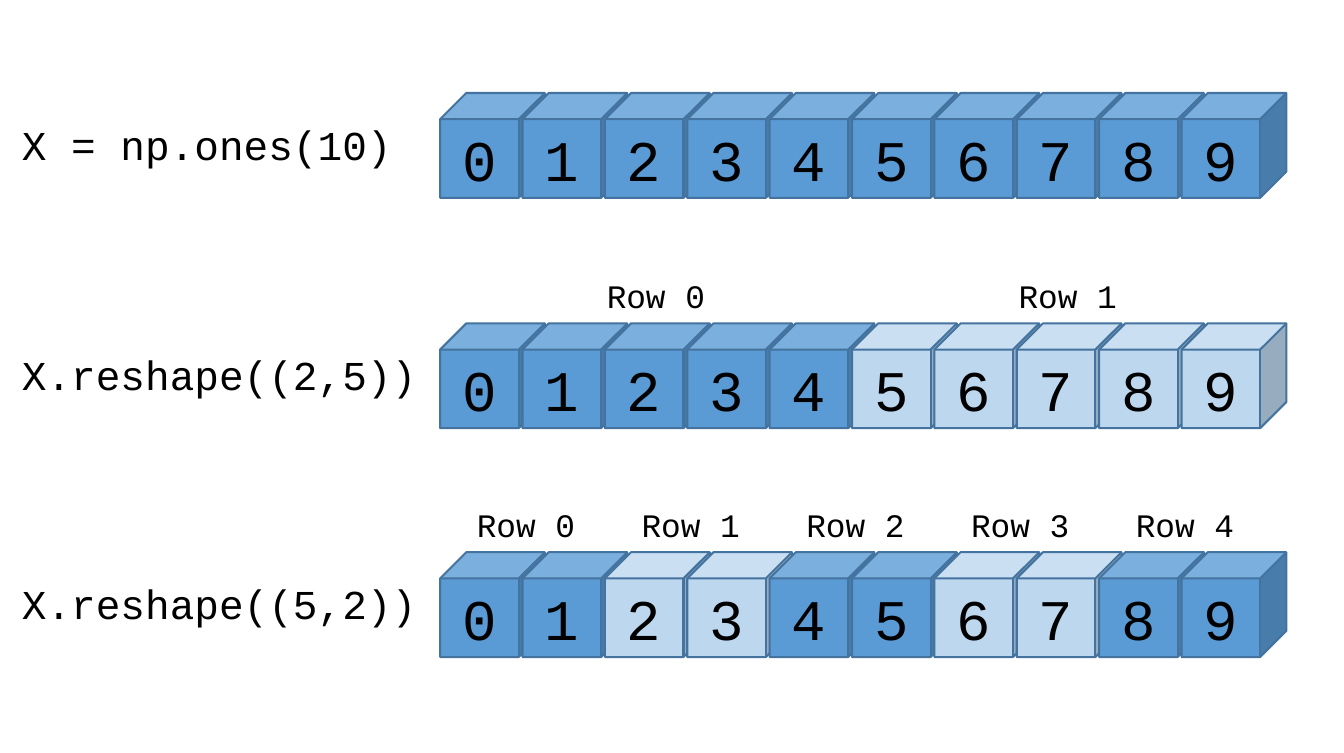
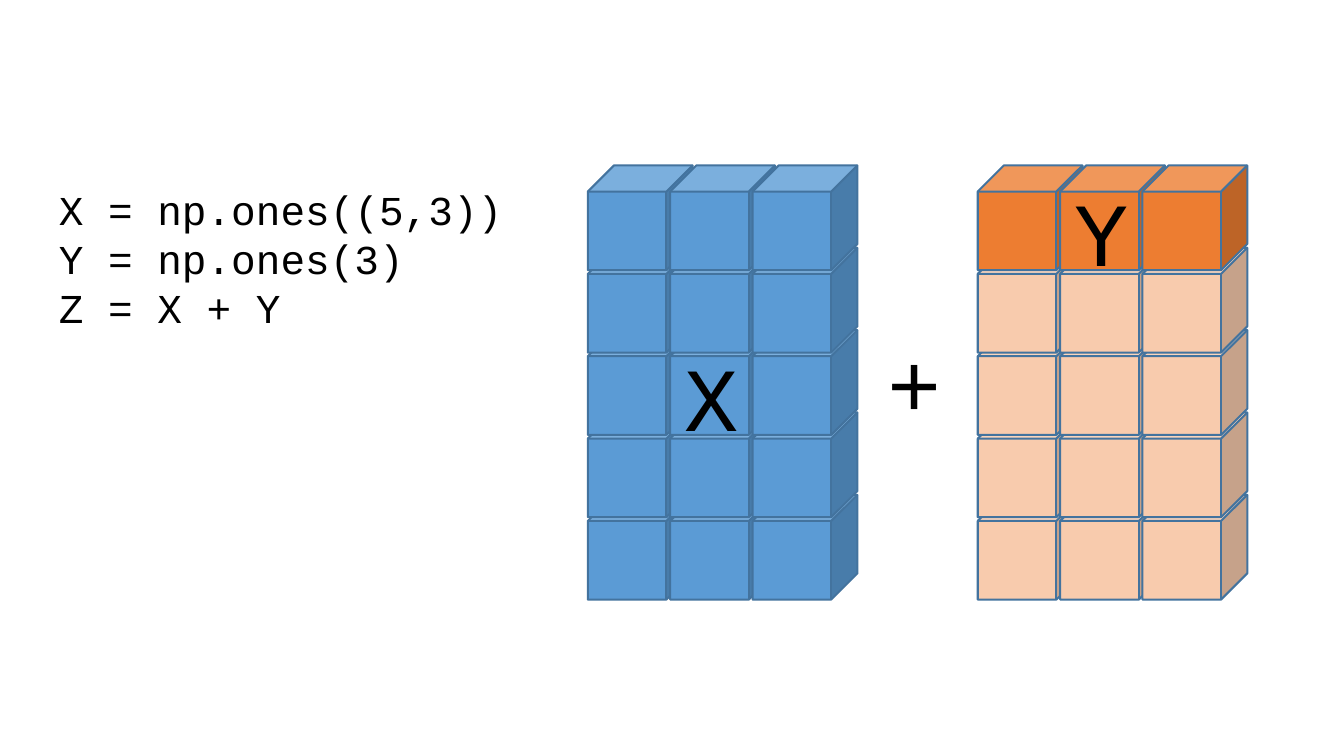
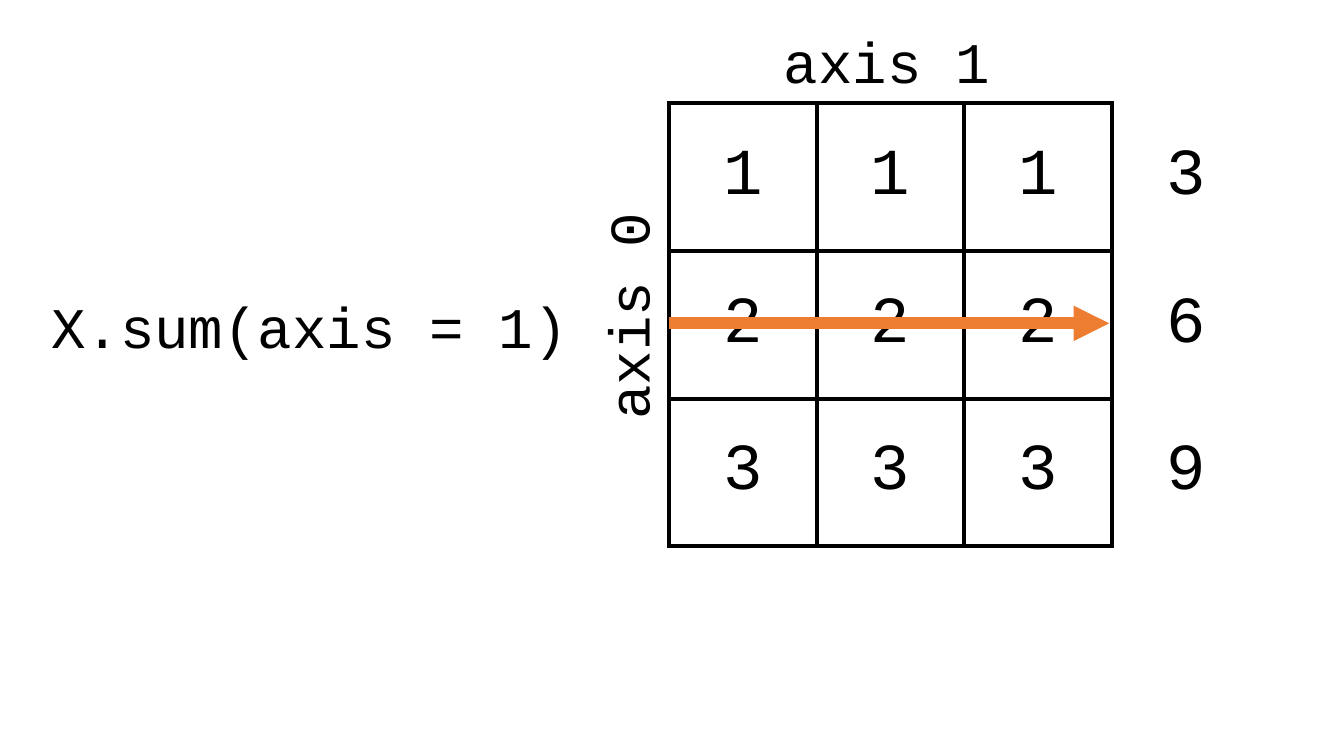
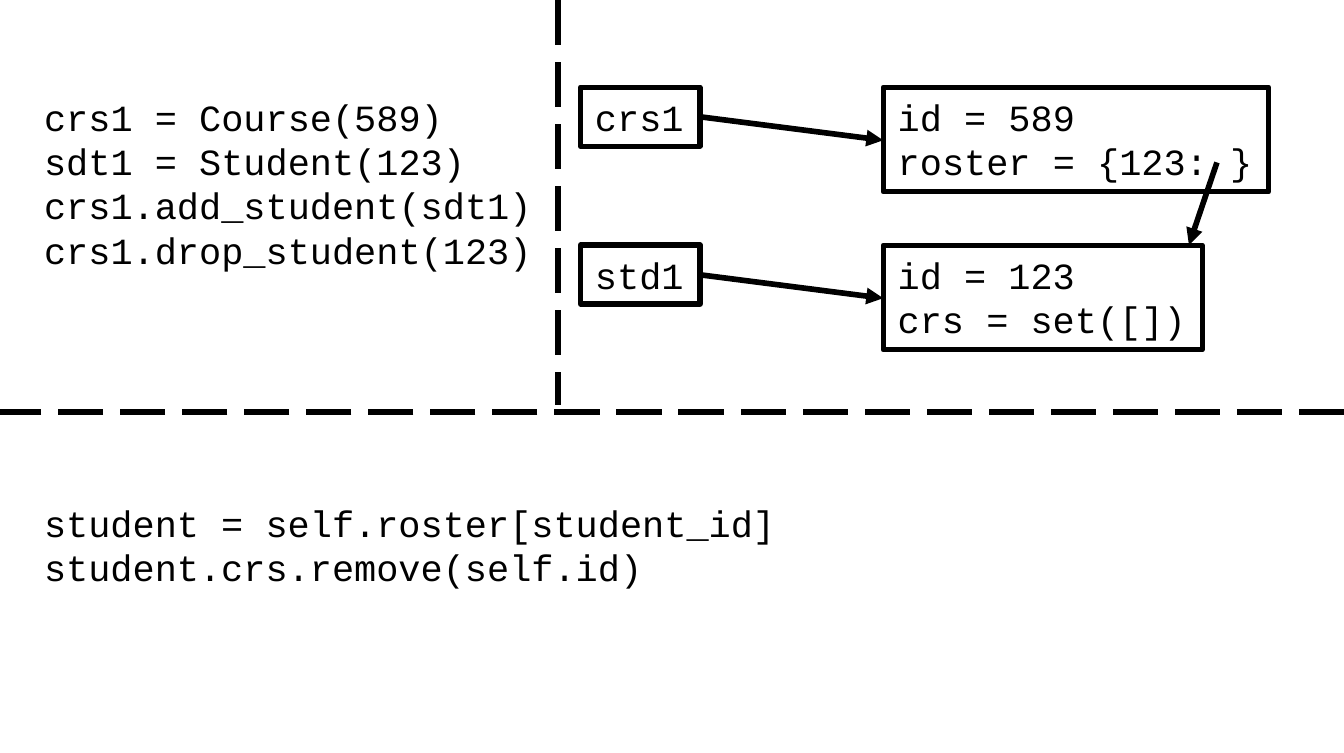
from lxml import etree
from pptx import Presentation
from pptx.dml.color import RGBColor
from pptx.enum.dml import MSO_LINE
from pptx.enum.shapes import MSO_CONNECTOR, MSO_SHAPE
from pptx.enum.text import MSO_ANCHOR, MSO_AUTO_SIZE, PP_ALIGN
from pptx.oxml.ns import qn
from pptx.util import Inches, Pt

BLACK = RGBColor(0x00, 0x00, 0x00)
BLUE = RGBColor(0x5B, 0x9B, 0xD5)
PALE = RGBColor(0xBD, 0xD7, 0xEE)
EDGE = RGBColor(0x43, 0x73, 0x9E)
ORANGE = RGBColor(0xED, 0x7D, 0x31)
PEACH = RGBColor(0xF8, 0xCB, 0xAD)

CUBE = MSO_SHAPE.CUBE
STRAIGHT = MSO_CONNECTOR.STRAIGHT
LONG_DASH = MSO_LINE.LONG_DASH
MIDDLE = MSO_ANCHOR.MIDDLE
CENTER = PP_ALIGN.CENTER
LEFT = PP_ALIGN.LEFT
GROW = MSO_AUTO_SIZE.SHAPE_TO_FIT_TEXT

FONT = "Courier New"
WIDTH, HEIGHT = 9.1, 5.1
SIDE = 0.71
STEP = 5.02 / 9
NO_GRID = "{2D5ABB26-0587-4C30-8999-92F81FD0307C}"


def write(frame, lines, size, align=LEFT):
    """Fill a text frame with one paragraph per line."""
    for i, line in enumerate(lines):
        para = frame.paragraphs[0] if i == 0 else frame.add_paragraph()
        para.alignment = align
        run = para.add_run()
        run.text = line
        run.font.name = FONT
        run.font.size = Pt(size)
        run.font.color.rgb = BLACK


def add_code(slide, box, lines, size, wrap=False):
    """Add a box of code that grows with its text."""
    text = slide.shapes.add_textbox(*map(Inches, box))
    frame = text.text_frame
    frame.word_wrap = wrap
    frame.auto_size = GROW
    write(frame, lines, size)
    return text


def add_frame(slide, box, lines):
    """Add code with a black outline."""
    text = add_code(slide, box, lines, 18)
    text.line.color.rgb = BLACK
    text.line.width = Pt(2.5)


def add_line(slide, start, end, color=BLACK, width=2.75, dash=None):
    """Add a dashed line, or an arrow when no dash is given."""
    line = slide.shapes.add_connector(STRAIGHT, *map(Inches, start + end))
    line.line.color.rgb = color
    line.line.width = Pt(width)
    if dash:
        line.line.dash_style = dash
    else:
        stroke = line.line._get_or_add_ln()
        etree.SubElement(stroke, qn("a:tailEnd"), type="triangle")
    etree.SubElement(line._element.spPr, qn("a:effectLst"))


def add_cube(slide, left, top, fill, label="", size=28):
    """Add one cube with an optional label."""
    cube = slide.shapes.add_shape(
        CUBE, Inches(left), Inches(top), Inches(SIDE), Inches(SIDE))
    cube.shadow.inherit = False
    cube.fill.solid()
    cube.fill.fore_color.rgb = fill
    cube.line.color.rgb = EDGE
    cube.line.width = Pt(1)
    cube.text_frame.vertical_anchor = MIDDLE
    if label:
        write(cube.text_frame, [label], size, CENTER)


def add_strip(slide, left, top, code, count, lead=None):
    """Add code and ten cubes, toned by rows of count cubes."""
    for i in range(10):
        fill = PALE if i // count % 2 else BLUE
        add_cube(slide, left + i * STEP, top, fill, str(i))
    add_code(slide, (0.05, top + 0.13, 2.89, 0.44), [code], 20)
    if lead is not None:
        for row in range(10 // count):
            start = left + lead + row * count * STEP
            add_code(slide, (start, top - 0.37, 0.88, 0.37), [f"Row {row}"], 16)


def add_block(slide, left, top, fills, name, spot):
    """Stack rows of three cubes from the bottom, naming the middle of one."""
    for row in reversed(range(len(fills))):
        for col in range(3):
            label = name if (row, col) == (spot, 1) else ""
            add_cube(slide, left + col * STEP, top + row * STEP,
                     fills[row], label, 44)


def set_edge(cell, sides):
    """Draw black borders on the given sides of a cell."""
    props = cell._tc.get_or_add_tcPr()
    for i, side in enumerate(sides):
        edge = etree.Element(qn(f"a:ln{side}"), w=str(Pt(2.25)))
        fill = etree.SubElement(edge, qn("a:solidFill"))
        etree.SubElement(fill, qn("a:srgbClr"), val=str(BLACK))
        props.insert(i, edge)


def add_grid(slide, left, top, rows):
    """Add a ruled square of numbers with open sums beside it."""
    count = len(rows) + 1
    table = slide.shapes.add_table(
        count, count, Inches(left), Inches(top),
        Inches(count), Inches(count)).table
    table.first_row = table.horz_banding = False
    table._tbl.tblPr.find(qn("a:tableStyleId")).text = NO_GRID
    last = count - 1
    for r in range(count):
        table.rows[r].height = table.columns[r].width = Inches(1)
        for c in range(count):
            cell = table.cell(r, c)
            cell.fill.background()
            cell.margin_left = cell.margin_right = Inches(0.07)
            cell.margin_top = cell.margin_bottom = Inches(0.04)
            cell.vertical_anchor = MIDDLE
            if r < last:
                write(cell.text_frame, [str(rows[r][c])], 32, CENTER)
                set_edge(cell, "LRTB" if c < last else "L")
            elif c < last:
                set_edge(cell, "T")


def draw_shapes(slide):
    """Show how reshape splits ten cubes into rows."""
    add_strip(slide, 2.98, 0.63, "X = np.ones(10)", 10)
    add_strip(slide, 2.98, 2.19, "X.reshape((2,5))", 5, 1.03)
    add_strip(slide, 2.98, 3.74, "X.reshape((5,2))", 2, 0.15)


def draw_sum(slide):
    """Show a block plus a row that is spread over it."""
    add_block(slide, 6.62, 1.12, [ORANGE] + [PEACH] * 4, "Y", 0)
    add_block(slide, 3.98, 1.12, [BLUE] * 5, "X", 2)
    code = ["X = np.ones((5,3))", "Y = np.ones(3)", "Z = X + Y"]
    add_code(slide, (0.3, 1.2, 3.23, 1.11), code, 20)
    add_code(slide, (5.91, 2.17, 0.57, 0.84), ["+"], 44)


def draw_axis(slide):
    """Show a sum along the rows of a grid."""
    left, top = 4.53, 0.7
    add_grid(slide, left, top, [[n, n, n, 3 * n] for n in (1, 2, 3)])
    side = add_code(slide, (left - 1.09, top + 1.15, 1.61, 0.57), ["axis 0"], 28)
    side.rotation = 270
    add_code(slide, (left + 0.68, top - 0.57, 1.61, 0.57), ["axis 1"], 28)
    add_code(slide, (0.25, 1.92, 3.73, 0.57), ["X.sum(axis = 1)"], 28)
    add_line(slide, (left, 2.19), (left + 2.98, 2.19), ORANGE, 5.75)


def add_link(slide, top, name, width, lines):
    """Add a name whose arrow points to the object it holds."""
    add_frame(slide, (3.93, top, 0.81, 0.4), [name])
    add_frame(slide, (5.98, top, width, 0.71), lines)
    add_line(slide, (4.73, top + 0.2), (5.98, top + 0.36))


def draw_names(slide):
    """Show code, the objects it makes and the body of a method."""
    add_code(slide, (0.2, 0.59, 3.58, 1.31), [
        "crs1 = Course(589)", "sdt1 = Student(123)",
        "crs1.add_student(sdt1)", "crs1.drop_student(123)"], 18, True)
    add_link(slide, 0.59, "crs1", 2.61, ["id = 589", "roster = {123: }"])
    add_link(slide, 1.66, "std1", 2.16, ["id = 123", "crs = set([])"])
    add_line(slide, (8.24, 1.1), (8.05, 1.66))
    add_line(slide, (3.78, 0), (3.78, 2.74), dash=LONG_DASH)
    add_code(slide, (0.2, 3.34, 5.86, 0.71), [
        "student = self.roster[student_id]",
        "student.crs.remove(self.id)"], 18, True)
    add_line(slide, (WIDTH, 2.79), (0, 2.79), dash=LONG_DASH)


def build():
    """Build and save the deck."""
    deck = Presentation()
    deck.slide_width, deck.slide_height = Inches(WIDTH), Inches(HEIGHT)
    blank = deck.slide_layouts[6]
    for draw in (draw_shapes, draw_sum, draw_axis, draw_names):
        draw(deck.slides.add_slide(blank))
    deck.save("out.pptx")


build()
